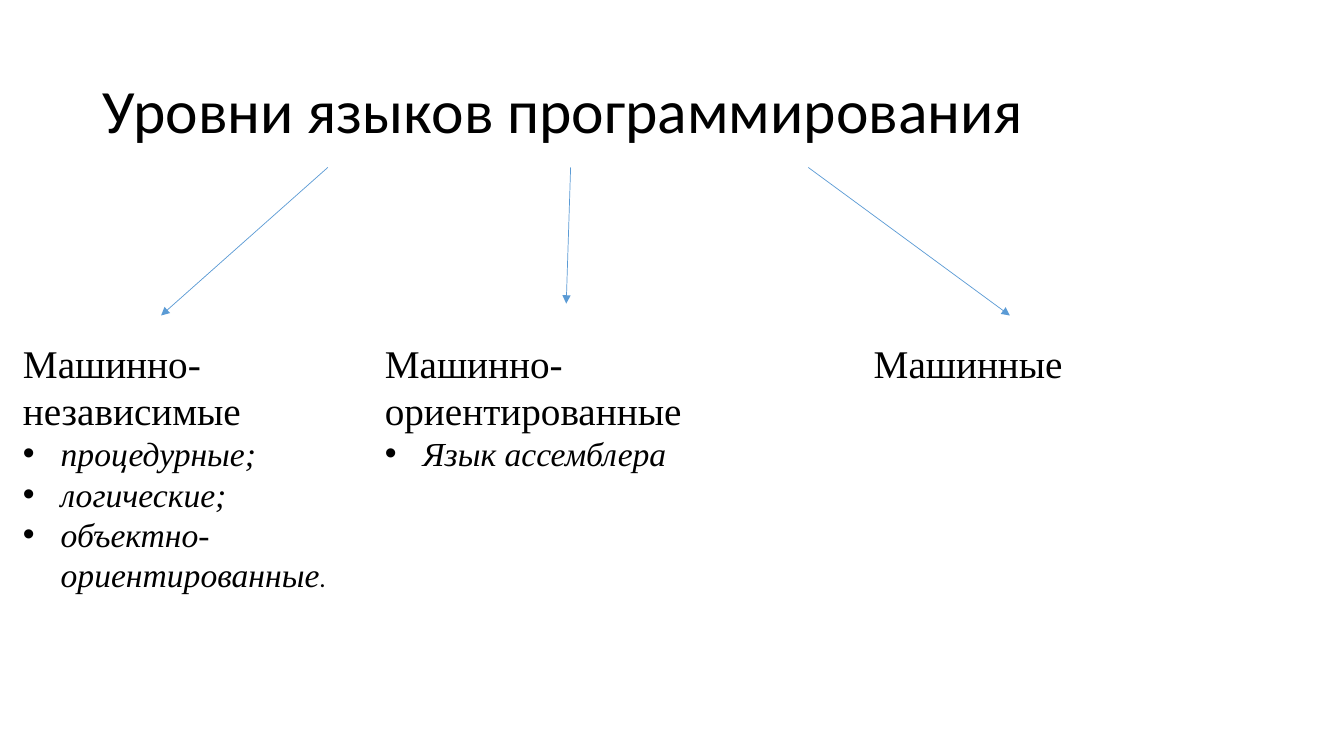
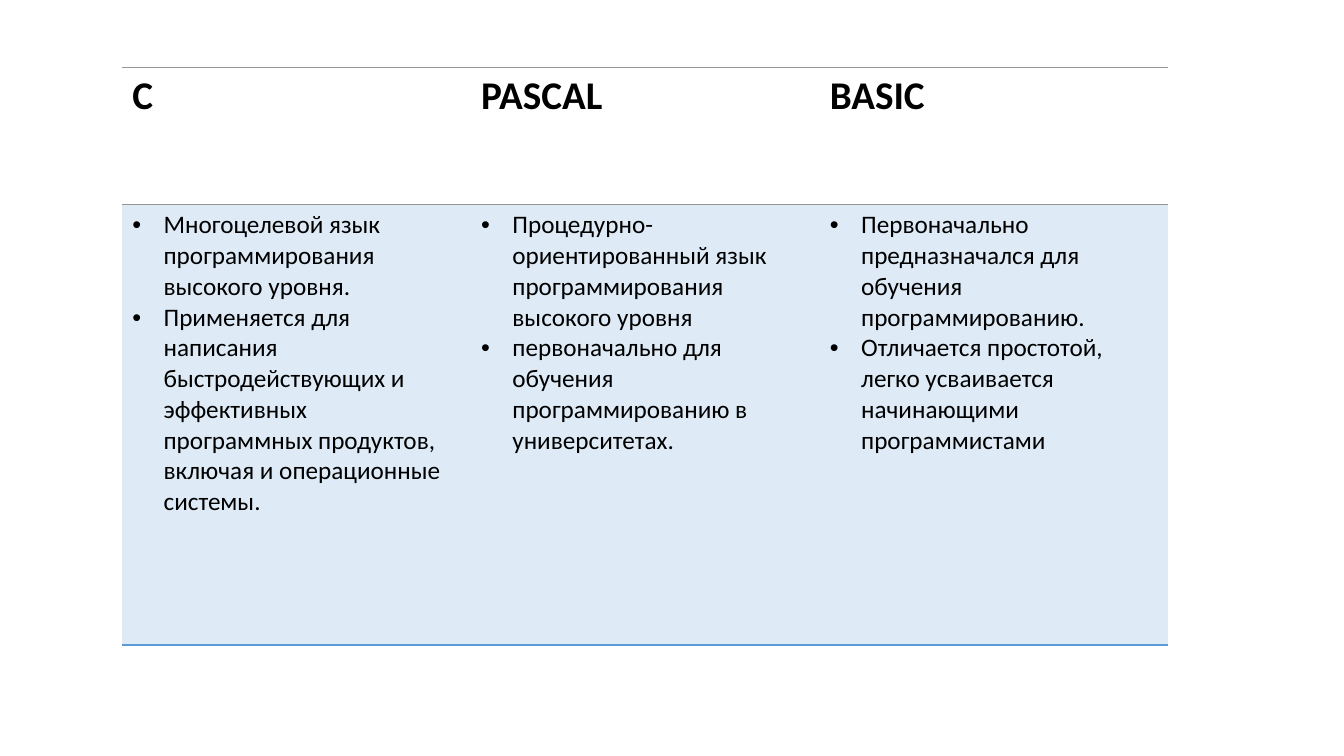
from lxml.etree import SubElement
from pptx import Presentation
from pptx.dml.color import RGBColor
from pptx.enum.shapes import MSO_CONNECTOR
from pptx.enum.text import MSO_ANCHOR, MSO_AUTO_SIZE, PP_ALIGN
from pptx.oxml.ns import qn
from pptx.util import Cm, Pt

BLACK = RGBColor(0x00, 0x00, 0x00)
WHITE = RGBColor(0xFF, 0xFF, 0xFF)
BLUE = RGBColor(0x5B, 0x9B, 0xD5)
PALE = RGBColor(0xDE, 0xEB, 0xF7)
GREY = RGBColor(0x96, 0x96, 0x96)
SANS, SERIF = "Calibri", "Times New Roman"

TITLE = "Уровни языков программирования"
LEVELS = [
    {"head": "Машинно-независимые",
     "items": ["процедурные;", "логические;", "объектно-ориентированные"],
     "end": ".", "box": (0.33, 8.2, 7.95),
     "arrow": (8.26, 4.06, 7.95)},
    {"head": "Машинно-ориентированные",
     "items": ["Язык ассемблера"],
     "end": "", "box": (9.45, 8.64, 4.88),
     "arrow": (14.38, 14.27, 7.65)},
    {"head": "Машинные", "items": [],
     "end": "", "box": (21.77, 8.05, 1.45),
     "arrow": (20.37, 25.45, 7.95)},
]
LANGS = [
    ("C", ["Многоцелевой язык программирования высокого уровня.",
           "Применяется для написания быстродействующих и эффективных "
           "программных продуктов, включая и операционные системы."]),
    ("PASCAL", ["Процедурно-ориентированный язык программирования "
                "высокого уровня",
                "первоначально для обучения программированию "
                "в университетах."]),
    ("BASIC", ["Первоначально предназначался для обучения "
               "программированию.",
               "Отличается простотой, легко усваивается начинающими "
               "программистами"]),
]
BOX_TOP, ARROW_TOP = 8.42, 4.22
ROWS = (3.46, 11.09)
COL = 8.79


def style(run, size, face=SANS, bold=False, slant=False):
    font = run.font
    font.size, font.name = Pt(size), face
    font.bold, font.italic = bold, slant
    font.color.rgb = BLACK


def write(para, text, *look):
    para.text = text
    style(para.runs[0], *look)


def bullet(para, indent):
    props = para._p.get_or_add_pPr()
    props.set("marL", str(Cm(indent)))
    props.set("indent", str(-Cm(indent)))
    SubElement(props, qn("a:buFont"), typeface="Arial")
    SubElement(props, qn("a:buChar"), char="•")


def arrow(slide, start, end, bottom):
    link = slide.shapes.add_connector(
        MSO_CONNECTOR.STRAIGHT,
        Cm(start), Cm(ARROW_TOP), Cm(end), Cm(bottom))
    link.line.color.rgb = BLUE
    link.line.width = Pt(0.5)
    SubElement(link.line._get_or_add_ln(), qn("a:tailEnd"), type="triangle")
    SubElement(link._element.spPr, qn("a:effectLst"))


def edge(cell, side, color=None, width=1):
    line = SubElement(cell._tc.get_or_add_tcPr(), qn("a:ln" + side),
                      w=str(Pt(width)))
    if color is None:
        SubElement(line, qn("a:noFill"))
    else:
        fill = SubElement(line, qn("a:solidFill"))
        SubElement(fill, qn("a:srgbClr"), val=str(color))


def frame(cell, top, bottom, fill):
    edge(cell, "L")
    edge(cell, "R")
    edge(cell, "T", *top)
    edge(cell, "B", *bottom)
    cell.fill.solid()
    cell.fill.fore_color.rgb = fill


def level(slide, data):
    left, width, height = data["box"]
    box = slide.shapes.add_textbox(
        Cm(left), Cm(BOX_TOP), Cm(width), Cm(height))
    text = box.text_frame
    text.word_wrap = True
    write(text.paragraphs[0], data["head"], 28, SERIF)
    for item in data["items"]:
        para = text.add_paragraph()
        write(para, item, 24, SERIF, False, True)
        bullet(para, 0.95)
    if data["end"]:
        run = para.add_run()
        run.text = data["end"]
        style(run, 18)


deck = Presentation()
deck.slide_width, deck.slide_height = Cm(33.87), Cm(19.05)

slide = deck.slides.add_slide(deck.slide_layouts[5])
title = slide.shapes.title
title.left, title.top = Cm(2.34), Cm(1.02)
title.width, title.height = Cm(29.21), Cm(3.68)
text = title.text_frame
text.vertical_anchor = MSO_ANCHOR.MIDDLE
text.auto_size = MSO_AUTO_SIZE.NONE
para = text.paragraphs[0]
write(para, TITLE, 44)
para.alignment = PP_ALIGN.LEFT
para.line_spacing = 0.9
for data in LEVELS:
    arrow(slide, *data["arrow"])
    level(slide, data)

slide = deck.slides.add_slide(deck.slide_layouts[6])
table = slide.shapes.add_table(
    len(ROWS), len(LANGS), Cm(3.08), Cm(1.7),
    Cm(COL * len(LANGS)), Cm(sum(ROWS))).table
table.first_row = table.horz_banding = False
for row, height in zip(table.rows, ROWS):
    row.height = Cm(height)
thin, thick = (GREY, 0.75), (BLUE, 1.5)
for col, (name, facts) in enumerate(LANGS):
    table.columns[col].width = Cm(COL)
    head, body = table.cell(0, col), table.cell(1, col)
    frame(head, thin, thin, WHITE)
    frame(body, thin, thick, PALE)
    write(head.text_frame.paragraphs[0], name, 28, SANS, True)
    body.text_frame.text = "\n".join(facts)
    for para in body.text_frame.paragraphs:
        style(para.runs[0], 18)
        bullet(para, 0.79)

deck.save("out.pptx")
